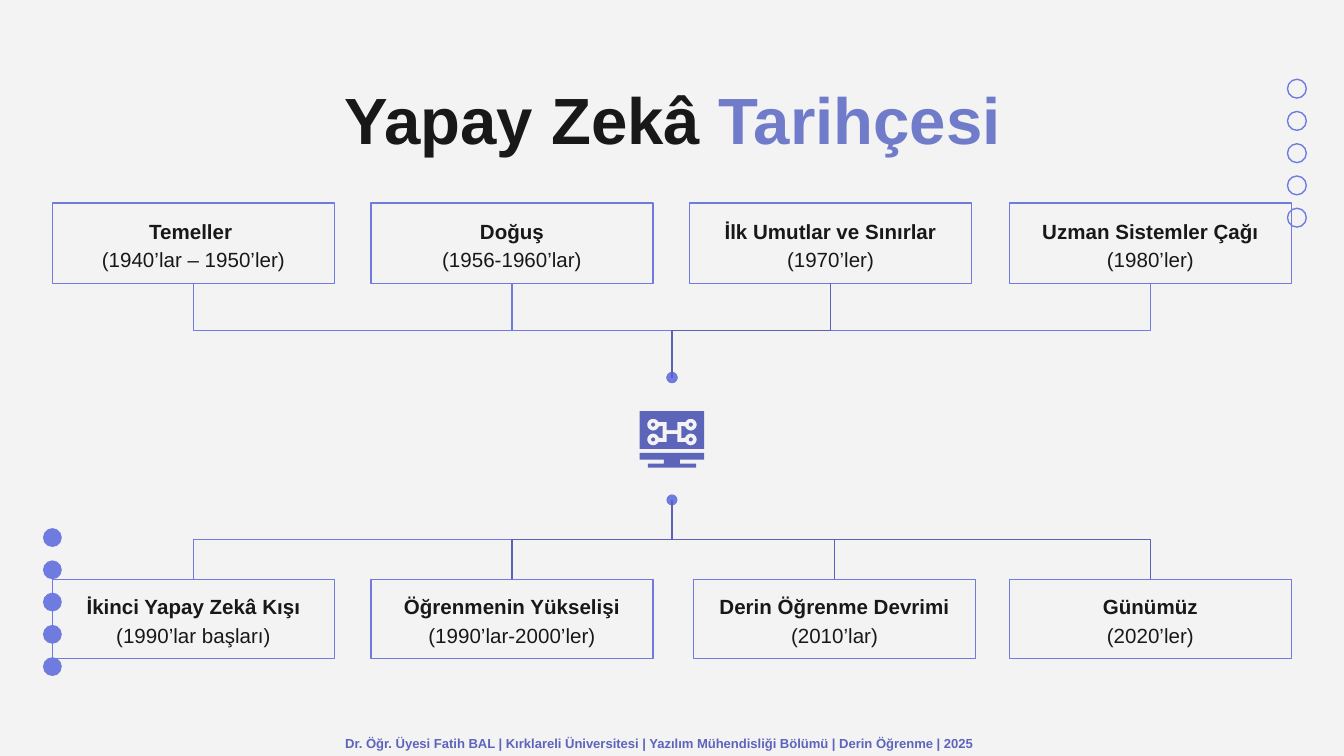
from math import cos, sin, radians
from pptx import Presentation
from pptx.dml.color import RGBColor
from pptx.enum.shapes import MSO_CONNECTOR, MSO_SHAPE
from pptx.enum.text import MSO_ANCHOR, PP_ALIGN
from pptx.oxml.ns import qn
from pptx.oxml.xmlchemy import OxmlElement
from pptx.util import Pt

PX = 9144  # 100 px to the inch
WIDE = 1000

# Content: left edge, heading, years, connector colour, round end
TOP = [
    (39, "Temeller ", "(1940’lar – 1950’ler)", "edge", True),
    (276, "Doğuş", "(1956-1960’lar)", "edge", True),
    (751, "Uzman Sistemler Çağı", "(1980’ler)", "edge", True),
    (513, "İlk Umutlar ve Sınırlar", "(1970’ler)", "wire", False),
]
LOW = [
    (39, "İkinci Yapay Zekâ Kışı", "(1990’lar başları)", "edge", True),
    (276, "Öğrenmenin Yükselişi", "(1990’lar-2000’ler)", "wire", False),
    (516, "Derin Öğrenme Devrimi", "(2010’lar)", "wire", False),
    (751, "Günümüz", "(2020’ler)", "wire", False),
]
# Row: eras, box top, box height, connector start, hub point
ROWS = [(TOP, 151, 60, 211, 281), (LOW, 431, 59, 431, 372)]
TITLE = [("Yapay Zekâ ", "ink"), ("Tarihçesi", "accent")]
FOOT = ("Dr. Öğr. Üyesi Fatih BAL | Kırklareli Üniversitesi | "
        "Yazılım Mühendisliği Bölümü | Derin Öğrenme | 2025")

THEME = {
    "font": "Arial",
    "color": {"back": "F3F3F3", "ink": "181818", "accent": "707BCA",
              "edge": "707BE0", "wire": "5961B9", "icon": "5D65BB"},
    "size": {"title": 35, "box": 11, "foot": 7},
}
BOX_W, MID, DOT, STEP = 210, 500, 14, 24


def px(*vals):
    return [round(v * PX) for v in vals]


def color(name):
    return RGBColor.from_string(THEME["color"][name])


def style(font, size, tint, bold):
    font.name = THEME["font"]
    font.size = Pt(THEME["size"][size])
    font.bold = bold
    font.color.rgb = color(tint)


def inset(frame, anchor):
    frame.word_wrap = True
    frame.vertical_anchor = anchor
    frame.margin_left = frame.margin_right = 10 * PX
    frame.margin_top = frame.margin_bottom = 10 * PX


def paint(shape, fill=None, line=None):
    shape.shadow.inherit = False
    if fill:
        shape.fill.solid()
        shape.fill.fore_color.rgb = color(fill)
    else:
        shape.fill.background()
    if line:
        shape.line.color.rgb = color(line)
        shape.line.width = Pt(0.75)
    else:
        shape.line.fill.background()


def add(kind, x, y, w, h, fill=None, line=None):
    shape = shapes.add_shape(kind, *px(x, y, w, h))
    paint(shape, fill, line)
    return shape


def era(x, y, h, head, years):
    frame = add(MSO_SHAPE.RECTANGLE, x, y, BOX_W, h, line="edge").text_frame
    inset(frame, MSO_ANCHOR.MIDDLE)
    for i, text in enumerate((head, years)):
        par = frame.add_paragraph() if i else frame.paragraphs[0]
        par.text = text
        par.alignment = PP_ALIGN.CENTER
        par.line_spacing = 1.15
        style(par.font, "box", "ink", i == 0)


def bend(x1, y1, x2, y2, tint, oval):
    """Elbow that leaves vertically: a turned frame, mirrored to suit."""
    right, up = x2 > x1, y2 < y1
    cx, cy = (x1 + x2) / 2, (y1 + y2) / 2
    dx, dy = abs(y2 - y1) / 2, abs(x2 - x1) / 2
    if right:
        dx = -dx
    if up:
        dy = -dy
    link = shapes.add_connector(
        MSO_CONNECTOR.ELBOW, *px(cx - dx, cy - dy, cx + dx, cy + dy))
    link.line.color.rgb = color(tint)
    link.line.width = Pt(0.75)
    props = link._element.spPr
    turn = 90 if right == up else 270
    props.find(qn("a:xfrm")).set("rot", str(turn * 60000))
    if oval:
        tail = OxmlElement("a:tailEnd")
        tail.set("type", "oval")
        props.find(qn("a:ln")).append(tail)
    props.append(OxmlElement("a:effectLst"))


def outline(*loops):
    """Filled outline; later loops cut holes."""
    fine = [[(x * 100, y * 100) for x, y in loop] for loop in loops]
    pen = shapes.build_freeform(*fine[0][0], scale=PX / 100)
    for i, loop in enumerate(fine):
        if i:
            pen.move_to(*loop[0])
        pen.add_line_segments(loop[1:], close=True)
    paint(pen.convert_to_shape(), "icon")


def icon(cx, cy):
    # One quarter of the circuit, mirrored into four
    node = [(14 + 4.4 * cos(radians(a)), -5.5 + 4.4 * sin(radians(a)))
            for a in range(207, 523, 15)]
    part = [(4, -1.5), (4, -7.5), *node, (7, -4.5), (7, 0)]
    loop = []
    for sx, sy in ((1, 1), (1, -1), (-1, -1), (-1, 1)):
        loop += [(cx + sx * x, cy + sy * y) for x, y in part[::sx * sy]]
    screen = [(476, 306), (524, 306), (524, 334), (476, 334)]
    outline(screen, loop)
    for sx in (-1, 1):
        for sy in (-1, 1):
            add(MSO_SHAPE.OVAL, cx + sx * 14 - 1.5, cy + sy * 5.5 - 1.5,
                3, 3, "icon")
    # Stand, mirrored about the middle
    half = [(24, 337), (24, 342), (6, 342), (6, 345), (18, 345), (18, 348)]
    outline([(cx + x, y) for x, y in half]
            + [(cx - x, y) for x, y in half[::-1]])


deck = Presentation()
deck.slide_width, deck.slide_height = px(WIDE, WIDE * 9 / 16)
slide = deck.slides.add_slide(deck.slide_layouts[5])
shapes = slide.shapes
slide.background.fill.solid()
slide.background.fill.fore_color.rgb = color("back")

# Dot columns
for i in range(5):
    add(MSO_SHAPE.OVAL, 32, 393 + i * STEP, DOT, DOT, fill="edge")
    add(MSO_SHAPE.OVAL, 958, 59 + i * STEP, DOT, DOT, line="edge")

# Title
title = shapes.title
title.left, title.top, title.width, title.height = px(79, 49, 843, 63)
inset(title.text_frame, MSO_ANCHOR.TOP)
par = title.text_frame.paragraphs[0]
par.alignment = PP_ALIGN.CENTER
for text, tint in TITLE:
    run = par.add_run()
    run.text = text
    style(run.font, "title", tint, True)

# Eras and their links to the hub
for eras, top, high, start, hub in ROWS:
    for x, head, years, tint, oval in eras:
        era(x, top, high, head, years)
        bend(x + BOX_W / 2, start, MID, hub, tint, oval)

icon(MID, 321.5)

# Footer
foot = shapes.add_textbox(*px(247, 542, 506, 20)).text_frame
inset(foot, MSO_ANCHOR.MIDDLE)
par = foot.paragraphs[0]
par.text = FOOT
par.line_spacing = 1.15
style(par.font, "foot", "icon", True)

deck.save("out.pptx")
